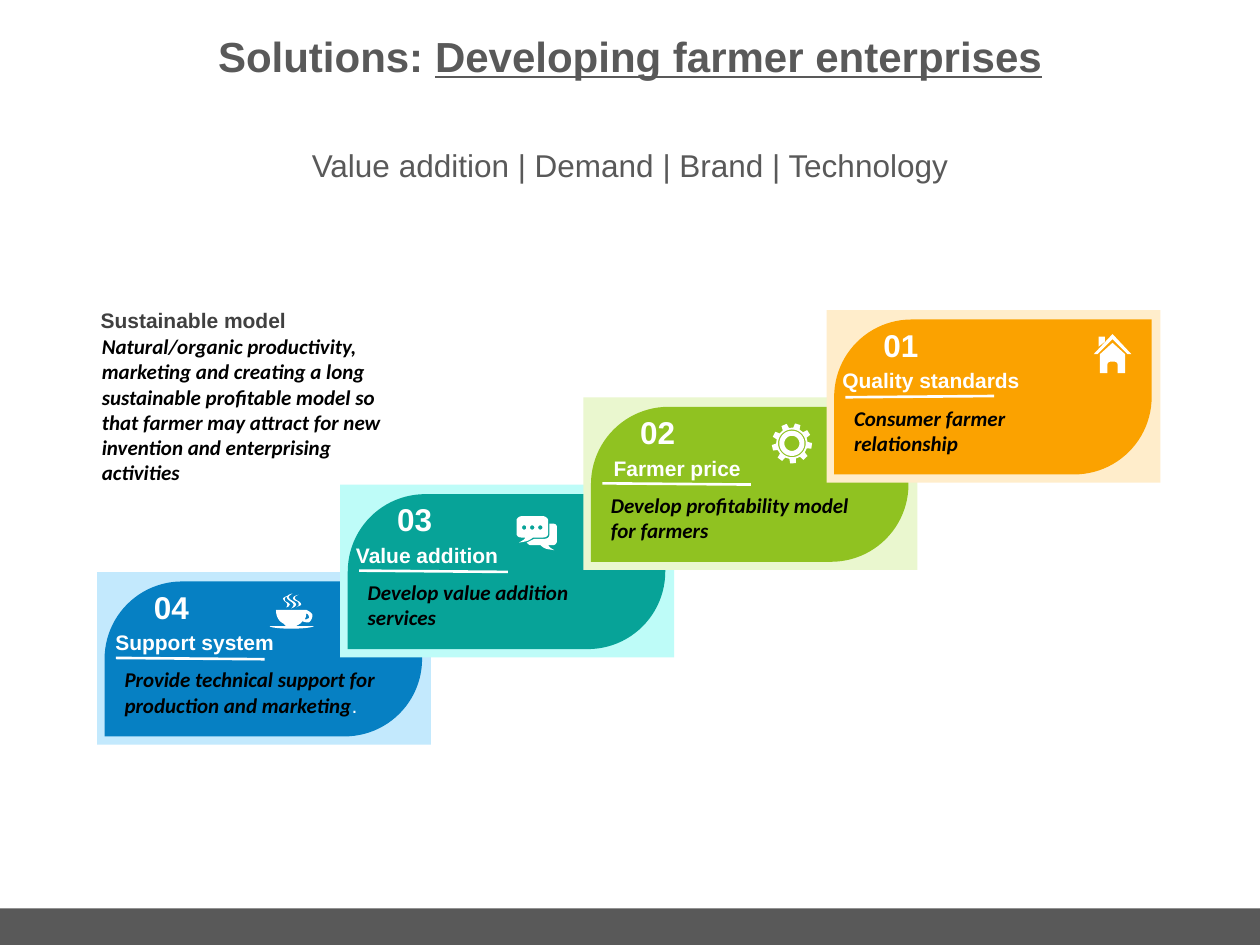
from dataclasses import dataclass
from math import cos, radians, sin

from lxml import etree
from pptx import Presentation
from pptx.dml.color import RGBColor
from pptx.enum.shapes import MSO_CONNECTOR, MSO_SHAPE
from pptx.enum.text import MSO_ANCHOR, MSO_AUTO_SIZE, PP_ALIGN
from pptx.oxml.ns import qn
from pptx.util import Inches, Pt

RECTANGLE, LEAF = MSO_SHAPE.RECTANGLE, MSO_SHAPE.ROUND_2_DIAG_RECTANGLE
STRAIGHT = MSO_CONNECTOR.STRAIGHT
TOP, MIDDLE = MSO_ANCHOR.TOP, MSO_ANCHOR.MIDDLE
LEFT, CENTER = PP_ALIGN.LEFT, PP_ALIGN.CENTER

# The slide is a grid of 100 columns by 75 rows
CELL = Inches(0.1)
COLUMNS, ROWS = 100, 75
Point = tuple[float, float]
Contour = list[Point]


@dataclass(frozen=True)
class Theme:
    grey: str = "595959"
    dark: str = "404040"
    black: str = "000000"
    white: str = "FFFFFF"
    sans: str = "Arial"
    body: str = "Calibri"
    title_size: int = 24
    lead_size: int = 18
    text_size: int = 12
    rule_width: float = 1.5


THEME = Theme()


@dataclass(frozen=True)
class Box:
    """Left column, top row, and size in columns and rows."""
    col: float
    row: float
    cols: float
    rows: float

    def lengths(self) -> list[int]:
        return [round(n * CELL) for n in (self.col, self.row, self.cols, self.rows)]


@dataclass(frozen=True)
class Step:
    number: str
    heading: str
    heading_offset: float
    heading_cols: float
    detail: str
    plate: str
    leaf: str
    rule_rise: float
    icon: list[Contour]
    icon_offset: Point
    detail_cols: float = 21.2
    ending: str = ""


def style(size: int, color: str, name: str = THEME.sans, **flags: bool) -> dict:
    return {"size": Pt(size), "name": name, "color": color, **flags}


TITLE = style(THEME.title_size, THEME.grey, bold=True)
LEAD = style(THEME.lead_size, THEME.grey, bold=False)
NUMBER = style(THEME.lead_size, THEME.white, bold=True)
HEADING = style(THEME.text_size, THEME.white, bold=True)
DETAIL = style(THEME.text_size, THEME.black, THEME.body, bold=True, italic=True)
ENDING = style(THEME.text_size, THEME.white)
MODEL = style(THEME.text_size, THEME.dark, bold=True)


# Icon outlines, in tenths of a grid cell
def circle(x: float, y: float, radius: float) -> Contour:
    return [(x + radius * cos(radians(a)), y + radius * sin(radians(a)))
            for a in range(0, 360, 10)]


def outline(text: str) -> Contour:
    """Start point, then L (one point) or C (two handles and a point) parts."""
    contour: Contour = []
    for part in text.replace("L", "|L").replace("C", "|C").split("|"):
        values = [float(n) for n in part.strip("LC ").split()]
        points = list(zip(values[::2], values[1::2]))
        if not part.startswith("C"):
            contour += points
            continue
        curve = [contour[-1], *points]
        for t in (k / 6 for k in range(1, 7)):
            weights = ((1 - t) ** 3, 3 * t * (1 - t) ** 2, 3 * t * t * (1 - t), t ** 3)
            contour.append((sum(w * p[0] for w, p in zip(weights, curve)),
                            sum(w * p[1] for w, p in zip(weights, curve))))
    return contour


def gear(center: float = 15.5, teeth: int = 9) -> list[Contour]:
    corners = ((-12, 12.5), (-8, 16), (8, 16), (12, 12.5))
    rim = [(center + r * cos(radians(a)), center + r * sin(radians(a)))
           for tooth in range(teeth)
           for a, r in ((tooth * 360 / teeth - 73 + turn, r) for turn, r in corners)]
    return [rim] + [circle(center, center, r) for r in (11, 10, 6)]


CUP = [outline(text) for text in (
    "29 16 C 29 17 29 19 28 20 C 28 21 29 21 30 20 C 31 20 32 19 31 18 C 31 17 30 16 29 16",
    "29 13 C 31 14 33 15 34 17 C 34 19 33 22 31 23 C 29 23 28 23 26 22 C 25 23 25 24 24 24"
    "C 23 25 22 25 21 26 L 35 26 C 34 27 27 28 17 28 C 8 28 0 27 0 26 L 13 26"
    "C 12 25 12 25 11 24 C 7 22 5 18 5 13",
    "14 2 C 13 3 12 3 12 5 C 12 7 16 7 16 9 C 15 10 15 11 13 11 C 14 10 14 10 14 9"
    "C 14 7 12 7 11 5 C 10 4 11 3 14 2",
    "23 1 C 21 2 20 2 20 4 C 21 6 25 6 25 9 C 24 10 23 10 21 11 C 23 10 23 10 23 8"
    "C 23 6 20 6 19 5 C 18 3 19 2 23 1",
    "18 0 C 17 1 15 2 15 3 C 16 6 21 6 21 9 C 20 11 19 11 17 12 C 18 11 19 10 19 9"
    "C 19 7 15 6 14 4 C 13 3 14 1 18 0")]
CHAT = [circle(x, 9, 1.7) for x in (6, 12.4, 18.8)] + [outline(text) for text in (
    "26 6 L 29 6 C 31 6 32 7 32 9 L 32 20 C 32 21 31 23 29 23 L 25 23 C 26 24 26 25 30 27"
    "C 23 26 22 26 19 23 L 11 23 C 10 23 9 22 8 21 C 10 20 12 19 14 18 L 22 18"
    "C 24 18 26 17 26 15",
    "4 0 L 21 0 C 23 0 25 2 25 3 L 25 14 C 25 16 23 17 21 17 L 13 17 C 9 20 8 20 2 21"
    "C 5 19 6 19 7 17 L 4 17 C 2 17 0 16 0 14 L 0 3 C 0 2 2 0 4 0")]
HOUSE = [outline(text) for text in (
    "15 7 L 25 16 L 25 31 L 19 31 L 19 24 C 19 23 18 22 17 22 L 13 22 C 12 22 11 23 11 24"
    "L 11 31 L 5 31 L 5 16",
    "4 2 L 9 2 L 9 6 L 4 10",
    "15 0 L 30 16 L 27 16 L 15 4 L 3 16 L 0 16")]

# Steps climb from lower left to upper right
STEPS = [
    Step("04", "Support system", -0.2, 15.9,
         "Provide technical support for production and marketing",
         "C3E9FD", "0680C3", 0.1, CUP, (13.7, 1.7), 24, "."),
    Step("03", "Value addition", -0.1, 14, "Develop value addition services",
         "BEFCF8", "07A398", 0.1, CHAT, (14, 2.5)),
    Step("02", "Farmer price", 1.2, 12.5, "Develop profitability model for farmers",
         "EAF7CF", "90C221", 0.1, gear(), (15, 2.1)),
    Step("01", "Quality standards", 0.1, 16.4, "Consumer farmer relationship",
         "FFEDCB", "FBA200", -0.1, HOUSE, (21.2, 1.9)),
]
FIRST_COL, FIRST_ROW, STEP_COLS, STEP_ROWS = 7.7, 45.4, 19.3, 6.93


def write(shape, spans: list[tuple[str, dict]], align=LEFT, anchor=TOP,
          inset: bool = True, **layout: float) -> None:
    frame = shape.text_frame
    frame.auto_size, frame.word_wrap = MSO_AUTO_SIZE.NONE, True
    frame.vertical_anchor = anchor
    if not inset:
        for side in ("left", "top", "right", "bottom"):
            setattr(frame, f"margin_{side}", 0)
    para = frame.paragraphs[0]
    for key, value in {"alignment": align, "space_before": Pt(0), **layout}.items():
        setattr(para, key, value)
    for text, values in spans:
        span = para.add_run()
        span.text = text
        for key, value in values.items():
            if key == "color":
                span.font.color.rgb = RGBColor.from_string(value)
            else:
                setattr(span.font, key, value)


def add_text(page, box: Box, spans: list[tuple[str, dict]], **layout) -> None:
    write(page.shapes.add_textbox(*box.lengths()), spans, **layout)


def paint(shape, color: str) -> None:
    shape.shadow.inherit = False
    shape.fill.solid()
    shape.fill.fore_color.rgb = RGBColor.from_string(color)
    shape.line.fill.background()


def add_block(page, kind, box: Box, color: str, corners: tuple = ()) -> None:
    shape = page.shapes.add_shape(kind, *box.lengths())
    for index, value in enumerate(corners):
        shape.adjustments[index] = value
    paint(shape, color)


def add_rule(page, start: Point, end: Point) -> None:
    rule = page.shapes.add_connector(STRAIGHT, *(round(n * CELL) for n in start + end))
    rule.line.color.rgb = RGBColor.from_string(THEME.white)
    rule.line.width = Pt(THEME.rule_width)
    etree.SubElement(rule._element.spPr, qn("a:effectLst"))


def add_icon(page, contours: list[Contour], col: float, row: float) -> None:
    placed = [[((col + x / 10) * CELL, (row + y / 10) * CELL) for x, y in contour]
              for contour in contours]
    builder = page.shapes.build_freeform(*placed[0][0])
    for contour in placed:
        builder.move_to(*contour[0])
        builder.add_line_segments(contour[1:], close=True)
    paint(builder.convert_to_shape(), THEME.white)


def add_step_text(page, step: Step, col: float, row: float) -> None:
    add_text(page, Box(col + 3.65, row + 1.1, 4.5, 3.3), [(step.number, NUMBER)],
             align=CENTER, anchor=MIDDLE, inset=False)
    detail = [(step.detail, DETAIL)] + ([(step.ending, ENDING)] if step.ending else [])
    add_text(page, Box(col + 1.2, row + 7.05, step.detail_cols, 5), detail)
    add_text(page, Box(col + step.heading_offset, row + 4.1, step.heading_cols, 3),
             [(step.heading, HEADING)], align=CENTER)
    middle = row + 6.87
    add_rule(page, (col + 1.5, middle - step.rule_rise / 2),
             (col + 13.3, middle + step.rule_rise / 2))
    add_icon(page, step.icon, col + step.icon_offset[0], row + step.icon_offset[1])


def main() -> None:
    deck = Presentation()
    deck.slide_width, deck.slide_height = COLUMNS * CELL, ROWS * CELL
    page = deck.slides.add_slide(deck.slide_layouts[1])
    add_block(page, RECTANGLE, Box(0, 72.1, COLUMNS, 2.9), THEME.grey)

    # Title and subtitle
    title, lead = page.shapes.title, page.placeholders[1]
    properties = lead.text_frame.paragraphs[0]._p.get_or_add_pPr()
    properties.set("marL", "0")
    properties.set("indent", "0")
    etree.SubElement(properties, qn("a:buNone"))
    for holder, box, spans in (
            (title, Box(0, 2.2, COLUMNS, 4.9),
             [("Solutions: ", TITLE),
              ("Developing farmer enterprises", {**TITLE, "underline": True})]),
            (lead, Box(0, 11, COLUMNS, 4.6),
             [("Value addition | Demand | Brand | Technology", LEAD)])):
        holder.left, holder.top, holder.width, holder.height = box.lengths()
        write(holder, spans, align=CENTER, anchor=MIDDLE, line_spacing=0.9)

    # Overlapping cards first, their contents above them
    places = [(step, FIRST_COL + i * STEP_COLS, FIRST_ROW - i * STEP_ROWS)
              for i, step in enumerate(STEPS)]
    for step, col, row in places:
        add_block(page, LEAF, Box(col, row, 26.5, 13.7), step.plate, (0, 0))
        add_block(page, LEAF, Box(col + 0.6, row + 0.75, 25.2, 12.3), step.leaf, (0.5, 0))
    for place in places:
        add_step_text(page, *place)

    # Model summary
    add_text(page, Box(7, 23.9, 25.9, 3), [("Sustainable model", MODEL)], anchor=MIDDLE)
    add_text(page, Box(7.1, 26, 25.8, 13.1), [(
        "Natural/organic productivity, marketing and creating a long sustainable "
        "profitable model so that farmer may attract for new invention and "
        "enterprising activities", DETAIL)])
    deck.save("out.pptx")


if __name__ == "__main__":
    main()
